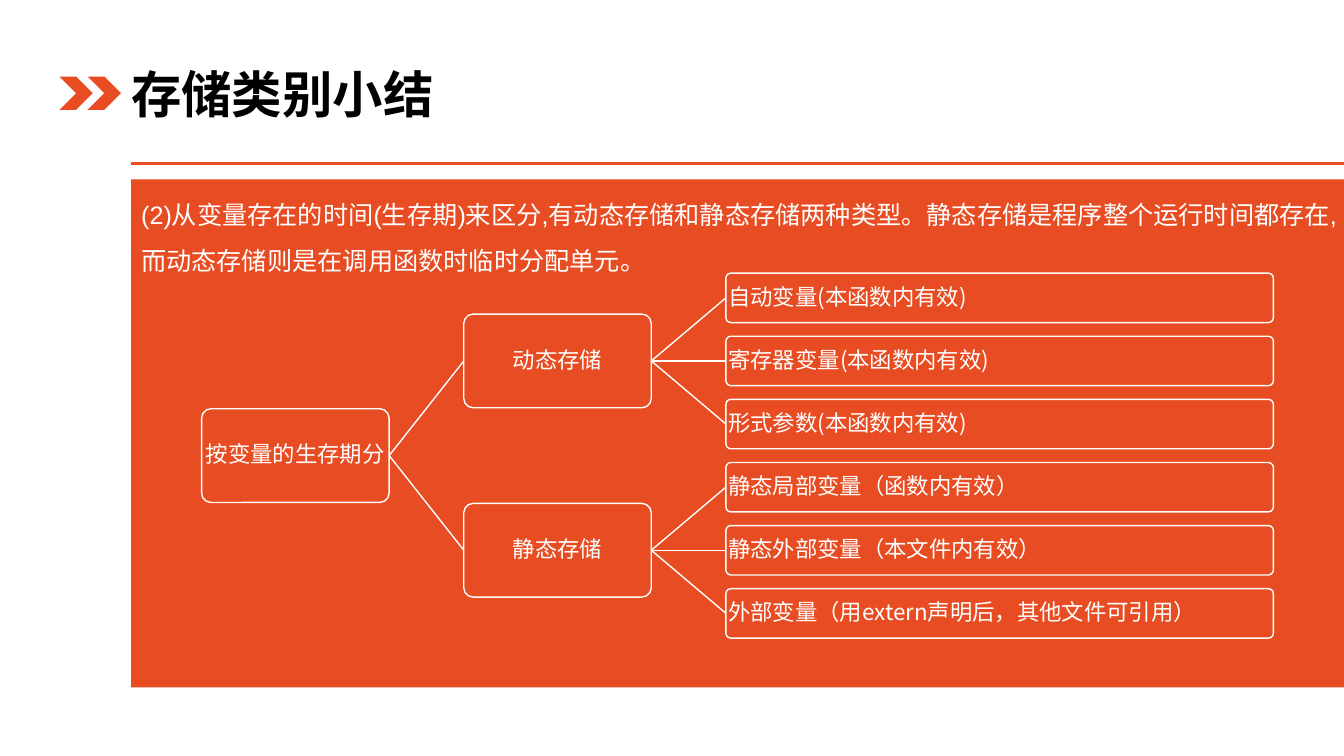
from lxml import etree
from pptx import Presentation
from pptx.dml.color import RGBColor
from pptx.enum.shapes import MSO_CONNECTOR, MSO_SHAPE
from pptx.enum.text import MSO_ANCHOR, MSO_AUTO_SIZE, PP_ALIGN
from pptx.oxml.ns import qn
from pptx.util import Inches, Pt

ORANGE = RGBColor(0xE8, 0x4C, 0x22)
WHITE = RGBColor(0xFF, 0xFF, 0xFF)
BLACK = RGBColor(0x00, 0x00, 0x00)
CJK_FONT = "Noto Sans CJK SC"

TITLE = "存储类别小结"
SUMMARY = ("(2)从变量存在的时间(生存期)来区分,有动态存储和静态存储两种类型。"
           "静态存储是程序整个运行时间都存在,而动态存储则是在调用函数时临时分配单元。")
ROOT = "按变量的生存期分"
BRANCHES = {
    "动态存储": ["自动变量(本函数内有效)",
             "寄存器变量(本函数内有效)",
             "形式参数(本函数内有效)"],
    "静态存储": ["静态局部变量（函数内有效）",
             "静态外部变量（本文件内有效）",
             "外部变量（用extern声明后，其他文件可引用）"],
}
BRANCH_WIDTH, BRANCH_HEIGHT = 1.86, 0.93
LEAF_HEIGHT = 0.49
COLUMN_GAP = 0.74


def place(shape, left, top, width, height):
    shape.left, shape.top = Inches(left), Inches(top)
    shape.width, shape.height = Inches(width), Inches(height)


def write(shape, text, size, color, align, line_spacing, font=CJK_FONT, bold=False):
    """Fill a shape with one formatted paragraph."""
    frame = shape.text_frame
    frame.text = text
    frame.word_wrap = True
    frame.auto_size = MSO_AUTO_SIZE.NONE
    paragraph = frame.paragraphs[0]
    paragraph.alignment = align
    paragraph.line_spacing = line_spacing
    paragraph.space_before = Pt(0)
    run = paragraph.runs[0]
    run.font.size = Pt(size)
    run.font.bold = bold
    run.font.color.rgb = color
    run.font.name = font
    east_asian = etree.SubElement(run.font._element, qn("a:ea"))
    east_asian.set("typeface", CJK_FONT)
    return paragraph


def add_line(slide, start, end, color, weight):
    line = slide.shapes.add_connector(
        MSO_CONNECTOR.STRAIGHT, *(Inches(v) for v in (*start, *end)))
    line.line.color.rgb = color
    line.line.width = Pt(weight)
    etree.SubElement(line._element.spPr, qn("a:effectLst"))
    return line


def add_header(slide, left, top, width, height):
    """Two chevrons, the title and the rule that runs to the slide edge."""
    chevron_size = 0.33
    for step in range(2):
        chevron = slide.shapes.add_shape(
            MSO_SHAPE.CHEVRON, Inches(left + 0.28 * step), Inches(top + 0.23),
            Inches(chevron_size), Inches(chevron_size))
        chevron.shadow.inherit = False
        chevron.fill.solid()
        chevron.fill.fore_color.rgb = ORANGE
        chevron.line.fill.background()

    title = slide.shapes.title
    place(title, left + 0.61, top, 5.94, 0.79)
    title.text_frame.vertical_anchor = MSO_ANCHOR.MIDDLE
    write(title, TITLE, 36, BLACK, PP_ALIGN.LEFT, 1.0, bold=True)

    rule_y = top + height
    add_line(slide, (left + 0.71, rule_y), (left + width, rule_y), ORANGE, 2.25)


def add_summary(slide, left, top, width, height):
    panel = slide.placeholders[1]
    place(panel, left, top, width, height)
    panel.fill.solid()
    panel.fill.fore_color.rgb = ORANGE
    panel.text_frame.vertical_anchor = MSO_ANCHOR.TOP
    paragraph = write(panel, SUMMARY, 18, WHITE, PP_ALIGN.LEFT, 1.5, font="Arial")
    properties = paragraph._p.get_or_add_pPr()
    properties.set("marL", "0")
    properties.set("indent", "0")
    etree.SubElement(properties, qn("a:buNone"))


def add_node(slide, text, left, middle, width, height, align=PP_ALIGN.CENTER):
    """Rounded box centred vertically on middle."""
    node = slide.shapes.add_shape(
        MSO_SHAPE.ROUNDED_RECTANGLE, Inches(left), Inches(middle - height / 2),
        Inches(width), Inches(height))
    node.adjustments[0] = 0.1
    node.shadow.inherit = False
    node.fill.solid()
    node.fill.fore_color.rgb = ORANGE
    node.line.color.rgb = WHITE
    node.line.width = Pt(1)
    frame = node.text_frame
    frame.vertical_anchor = MSO_ANCHOR.MIDDLE
    frame.margin_left = frame.margin_right = Inches(0.01)
    frame.margin_top = frame.margin_bottom = Inches(0.01)
    write(node, text, 16, WHITE, align, 0.9)
    return node


def link(slide, parent, child):
    """Join the right side of parent to the left side of child."""
    line = add_line(slide, (0, 0), (0, 0), WHITE, 1)
    line.begin_connect(parent, 3)
    line.end_connect(child, 1)


def add_tree(slide, left, top, width, height):
    """Root, branches and evenly spaced leaves; parents centre on their children."""
    column_step = BRANCH_WIDTH + COLUMN_GAP
    branch_left = left + column_step
    leaf_left = branch_left + column_step
    leaf_width = left + width - leaf_left
    leaf_count = sum(len(leaves) for leaves in BRANCHES.values())
    pitch = (height - LEAF_HEIGHT) / (leaf_count - 1)

    root = add_node(slide, ROOT, left, top + height / 2, BRANCH_WIDTH, BRANCH_HEIGHT)
    leaf_middle = top + LEAF_HEIGHT / 2
    for branch_name, leaves in BRANCHES.items():
        branch_middle = leaf_middle + pitch * (len(leaves) - 1) / 2
        branch = add_node(slide, branch_name, branch_left, branch_middle,
                          BRANCH_WIDTH, BRANCH_HEIGHT)
        link(slide, root, branch)
        for leaf_name in leaves:
            leaf = add_node(slide, leaf_name, leaf_left, leaf_middle,
                            leaf_width, LEAF_HEIGHT, PP_ALIGN.LEFT)
            link(slide, branch, leaf)
            leaf_middle += pitch


def main():
    presentation = Presentation()
    presentation.slide_width = Inches(13.33)
    presentation.slide_height = Inches(7.5)
    slide = presentation.slides.add_slide(presentation.slide_layouts[1])
    add_header(slide, 0.59, 0.53, 12.74, 1.09)
    add_summary(slide, 1.3, 1.78, 12.03, 5.04)
    add_tree(slide, 2.0, 2.71, 10.63, 3.62)
    presentation.save("out.pptx")


if __name__ == "__main__":
    main()
